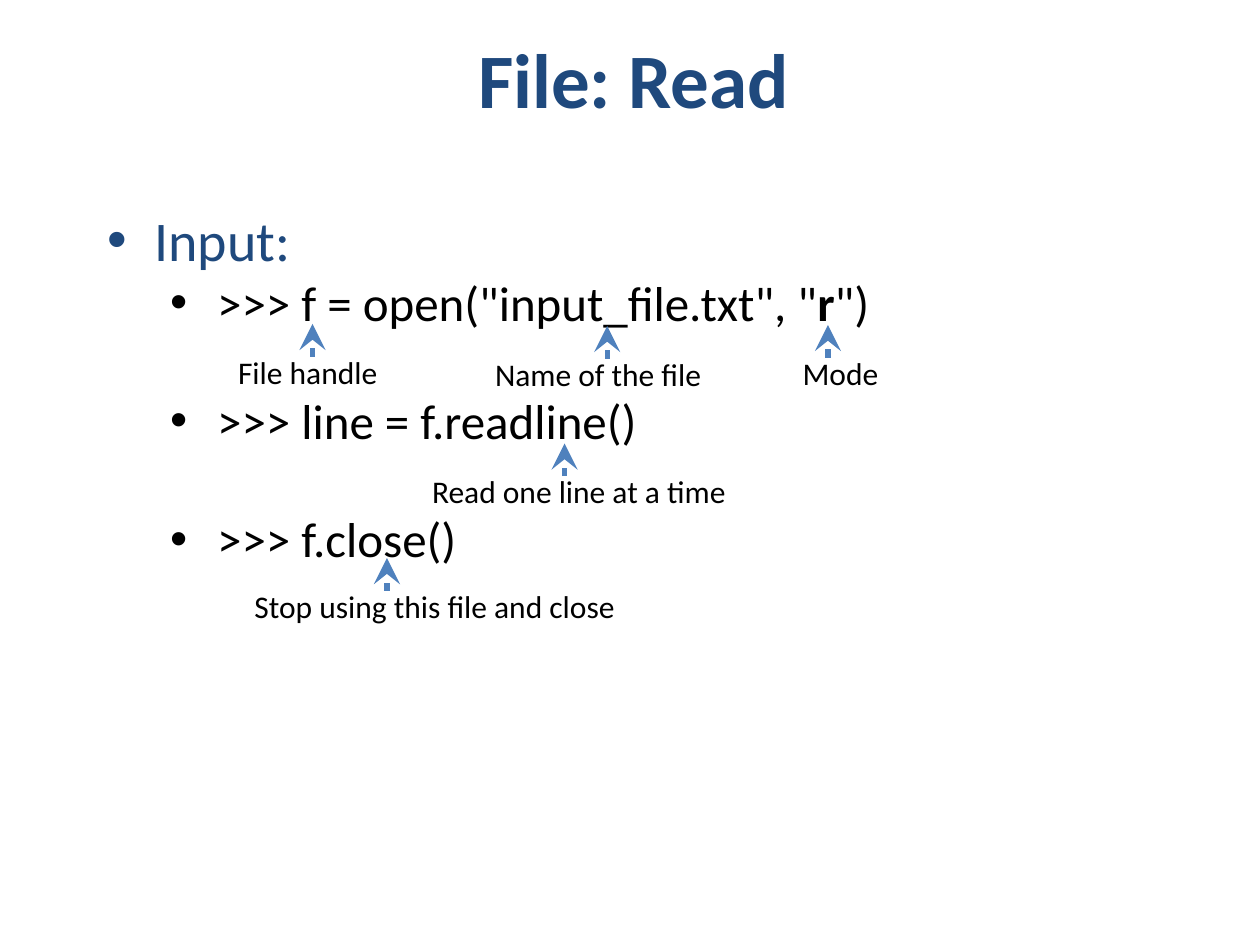
from typing import NamedTuple

from lxml.etree import SubElement
from pptx import Presentation
from pptx.dml.color import RGBColor
from pptx.enum.shapes import MSO_CONNECTOR
from pptx.enum.text import MSO_ANCHOR, PP_ALIGN
from pptx.oxml.ns import qn
from pptx.util import Cm, Pt

NAVY = RGBColor(0x1F, 0x49, 0x7D)
BLUE = RGBColor(0x4F, 0x81, 0xBD)
BLACK = RGBColor(0, 0, 0)
WHITE = RGBColor(0xFF, 0xFF, 0xFF)
FONT = "Calibri"
HANGING = Cm(0.95)
ARROW_HEIGHT = 0.66
LABEL_RISE = 0.2


class Bullet(NamedTuple):
    spans: list[tuple[str, bool]]
    level: int
    size: int
    color: RGBColor
    indent: float
    before: float


class Callout(NamedTuple):
    text: str
    left: float
    width: float
    arrow_x: float
    arrow_bottom: float


BULLETS = [
    Bullet([("Input:", False)], 0, 32, NAVY, 0.95, 0),
    Bullet([('>>> f = open("input_file.txt", "', False), ("r", True), ('")', False)],
           1, 28, BLACK, 2.22, 0),
    Bullet([(">>> line = f.readline()", False)], 1, 28, BLACK, 2.22, 34),
    Bullet([(">>> f.close()", False)], 1, 28, BLACK, 2.22, 34),
]

CALLOUTS = [
    Callout("File handle", 4.55, 3.5, 6.3, 7.19),
    Callout("Name of the file", 9.73, 4.88, 12.24, 7.23),
    Callout("Mode", 15.93, 2.13, 16.69, 7.21),
    Callout("Read one line at a time", 8.46, 9.09, 11.38, 9.6),
    Callout("Stop using this file and close", 4.88, 9.52, 7.8, 11.91),
]


def add_text(page, left: float, top: float, width: float, height: float, wrap: bool = True):
    box = page.shapes.add_textbox(Cm(left), Cm(top), Cm(width), Cm(height))
    box.text_frame.word_wrap = wrap
    return box.text_frame


def set_font(para, size: int, color: RGBColor) -> None:
    para.font.name = FONT
    para.font.size = Pt(size)
    para.font.color.rgb = color


def add_bullet(para, bullet: Bullet) -> None:
    para.level = bullet.level
    para.space_before = Pt(bullet.before)
    set_font(para, bullet.size, bullet.color)
    for text, bold in bullet.spans:
        span = para.add_run()
        span.text = text
        if bold:
            span.font.bold = True
    # Bullet mark and hanging indent
    properties = para._p.get_or_add_pPr()
    properties.set("marL", str(Cm(bullet.indent)))
    properties.set("indent", str(-HANGING))
    mark_font = properties.makeelement(qn("a:buFont"), {"typeface": "Arial"})
    mark = properties.makeelement(qn("a:buChar"), {"char": "•"})
    defaults = properties.find(qn("a:defRPr"))
    defaults.addprevious(mark_font)
    defaults.addprevious(mark)


def add_callout(page, callout: Callout) -> None:
    # Arrow pointing up at the code
    x, bottom = Cm(callout.arrow_x), callout.arrow_bottom
    arrow = page.shapes.add_connector(
        MSO_CONNECTOR.STRAIGHT, x, Cm(bottom), x, Cm(bottom - ARROW_HEIGHT))
    arrow.line.color.rgb = BLUE
    arrow.line.width = Pt(3)
    SubElement(arrow.line._get_or_add_ln(), qn("a:tailEnd"),
               {"type": "stealth", "w": "lg", "len": "lg"})
    SubElement(arrow._element.spPr, qn("a:effectLst"))
    # Label under the arrow
    frame = add_text(page, callout.left, bottom - LABEL_RISE, callout.width, 1.02, False)
    para = frame.paragraphs[0]
    para.text = callout.text
    set_font(para, 18, BLACK)


deck = Presentation()
deck.slide_width, deck.slide_height = Cm(25.4), Cm(19.05)
page = deck.slides.add_slide(deck.slide_layouts[6])
page.background.fill.solid()
page.background.fill.fore_color.rgb = WHITE

# Title
title = add_text(page, 1.27, 0.2, 23.01, 2.74)
title.vertical_anchor = MSO_ANCHOR.MIDDLE
heading = title.paragraphs[0]
heading.text = "File: Read"
heading.alignment = PP_ALIGN.CENTER
set_font(heading, 44, NAVY)
heading.font.bold = True

# Code listing
listing = add_text(page, 1.91, 4.01, 21.59, 9.35)
for index, bullet in enumerate(BULLETS):
    add_bullet(listing.add_paragraph() if index else listing.paragraphs[0], bullet)

# Explanations
for callout in CALLOUTS:
    add_callout(page, callout)

deck.save("out.pptx")
